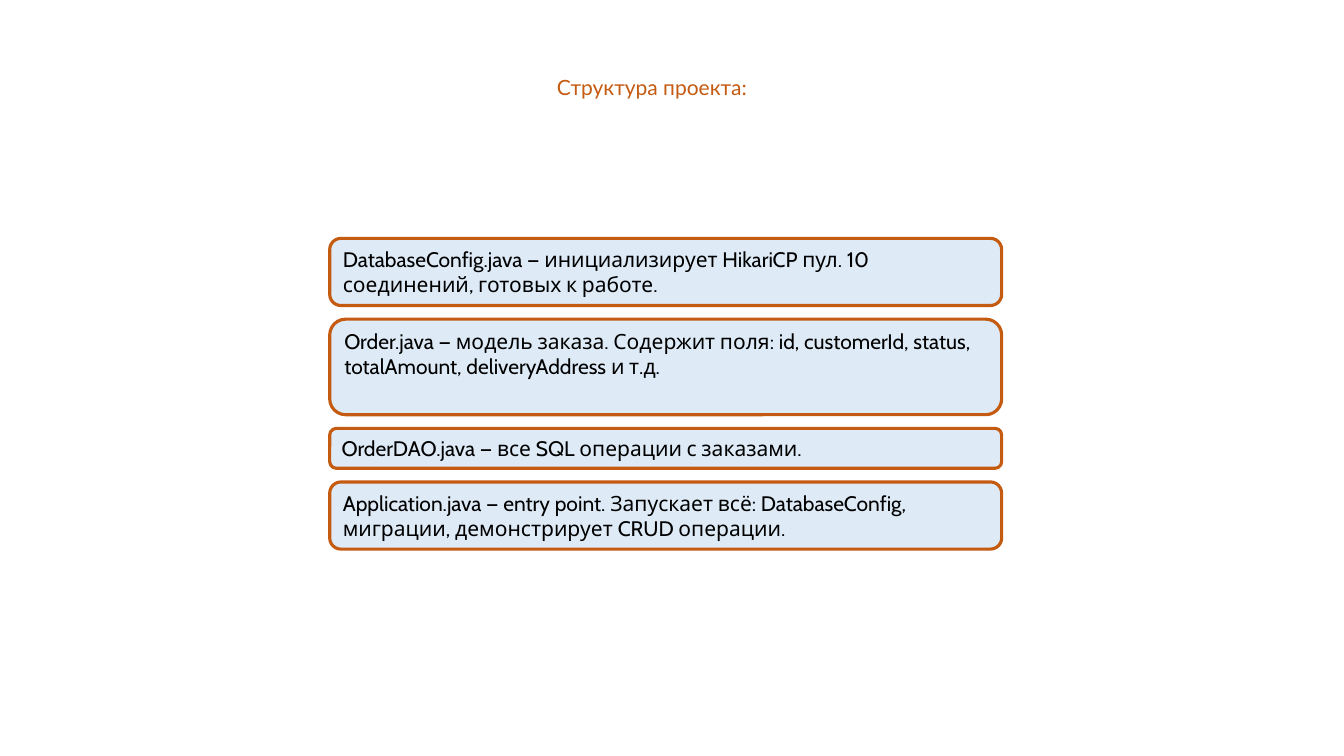
from pptx import Presentation
from pptx.dml.color import RGBColor
from pptx.enum.shapes import MSO_SHAPE
from pptx.enum.text import MSO_ANCHOR, PP_ALIGN
from pptx.util import Pt

SCALE = 9525
FILES = [
    (64, "DatabaseConfig.java — инициализирует HikariCP пул. 10 соединений, готовых к работе."),
    (91, "Order.java — модель заказа. Содержит поля: id, customerId, status, totalAmount, deliveryAddress и т.д."),
    (38, "OrderDAO.java — все SQL операции с заказами."),
    (64, "Application.java — entry point. Запускает всё: DatabaseConfig, миграции, демонстрирует CRUD операции."),
]


def px(*lengths):
    return [length * SCALE for length in lengths]


def color(value):
    return RGBColor.from_string(value)


def write(frame, text, font="Cabin", size=15, ink="000000"):
    frame.word_wrap = True
    frame.vertical_anchor = MSO_ANCHOR.TOP
    para = frame.paragraphs[0]
    para.alignment = PP_ALIGN.LEFT
    span = para.add_run()
    span.text = text
    span.font.name = font
    span.font.size = Pt(size)
    span.font.color.rgb = color(ink)


class Page:
    accent = "C55A11"
    panel = "DEEBF7"

    def __init__(self, deck):
        self.shapes = deck.slides.add_slide(deck.slide_layouts[6]).shapes

    def title(self, text, left, top, width, height):
        box = self.shapes.add_textbox(*px(left, top, width, height))
        write(box.text_frame, text, font="Lato", ink=self.accent)

    def card(self, text, left, top, width, height):
        box = self.shapes.add_shape(MSO_SHAPE.ROUNDED_RECTANGLE, *px(left, top, width, height))
        box.shadow.inherit = False
        box.fill.solid()
        box.fill.fore_color.rgb = color(self.panel)
        box.line.color.rgb = color(self.accent)
        box.line.width = Pt(2.25)
        write(box.text_frame, text)


def main():
    deck = Presentation()
    deck.slide_width, deck.slide_height = px(1280, 720)
    page = Page(deck)
    page.title("Структура проекта:", 521, 66, 228, 34)
    top, gap = 227, 13
    for height, text in FILES:
        page.card(text, 314, top, 640, height)
        top += height + gap
    deck.save("out.pptx")


if __name__ == "__main__":
    main()
